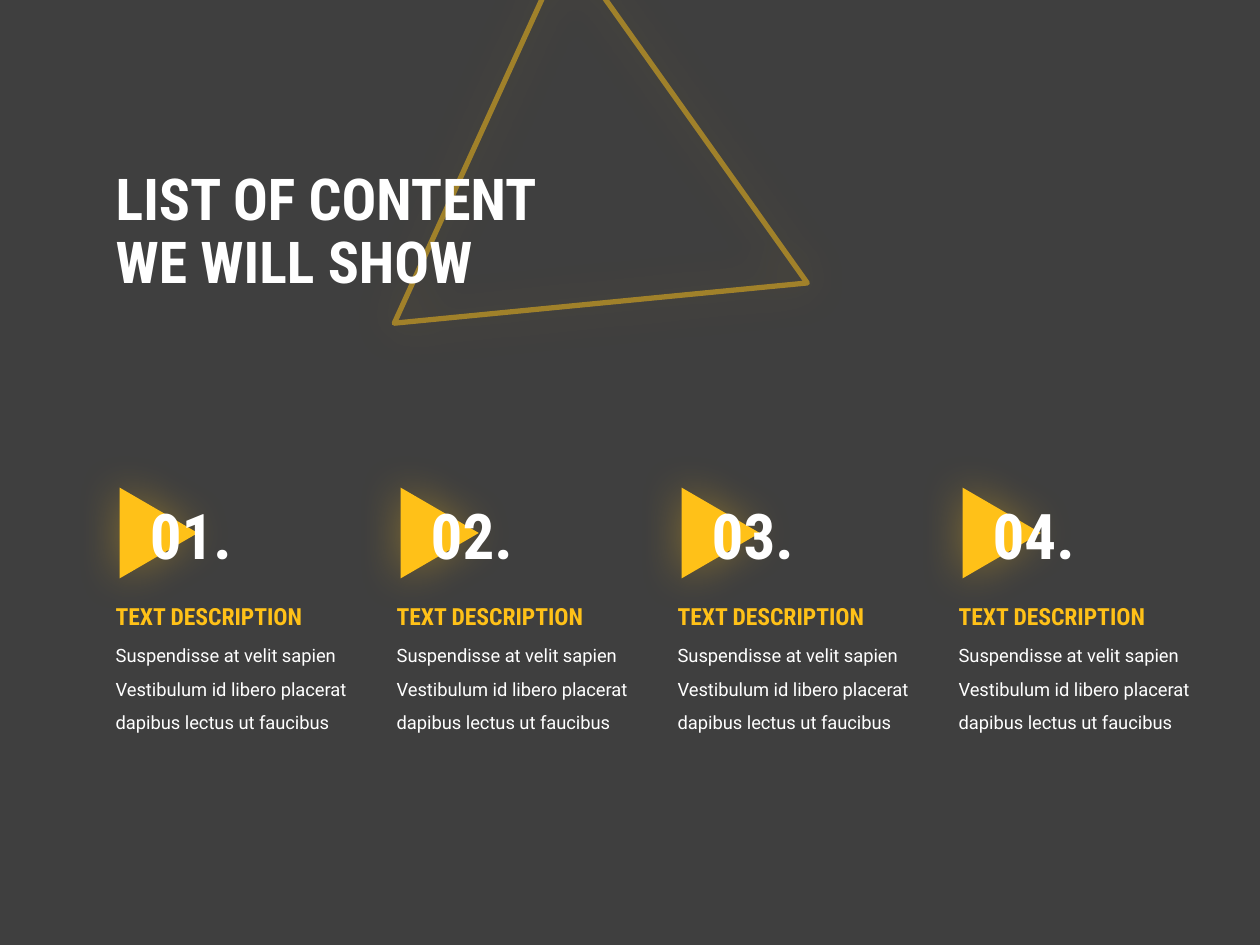
from dataclasses import dataclass

import pptx
import pptx.dml.color
import pptx.enum.shapes
import pptx.enum.text
import pptx.oxml
import pptx.oxml.ns
import pptx.util
from pptx.dml.color import RGBColor
from pptx.util import Inches

CHARCOAL = RGBColor(0x3F, 0x3F, 0x3F)
AMBER = RGBColor(0xFF, 0xC1, 0x18)
WHITE = RGBColor(0xFF, 0xFF, 0xFF)

HEADING_FONT = "Roboto Condensed"
BODY_FONT = "Roboto"
COLUMN_PITCH = 2.23


@dataclass(frozen=True)
class Area:
    left: float
    top: float
    width: float
    height: float

    def shifted(self, distance: float) -> "Area":
        return Area(self.left + distance, self.top, self.width, self.height)

    def lengths(self) -> tuple:
        return tuple(Inches(value) for value in
                     (self.left, self.top, self.width, self.height))


@dataclass(frozen=True)
class TextStyle:
    font: str
    size: float
    color: RGBColor
    bold: bool = True
    spacing: float = 1.0


@dataclass(frozen=True)
class Topic:
    number: str
    heading: str
    description: str


TITLE_STYLE = TextStyle(HEADING_FONT, 33, WHITE, spacing=0.9)
NUMBER_STYLE = TextStyle(HEADING_FONT, 36, WHITE)
HEADING_STYLE = TextStyle(HEADING_FONT, 13.5, AMBER)
DESCRIPTION_STYLE = TextStyle(BODY_FONT, 10.5, WHITE, bold=False, spacing=1.5)

# Areas of the first column; the others are shifted by the pitch
MARKER = Area(0.9, 3.92, 0.72, 0.62)
NUMBER = Area(1.09, 3.89, 0.99, 0.71)
HEADING = Area(0.82, 4.73, 1.84, 0.33)
DESCRIPTION = Area(0.82, 4.98, 2.11, 0.87)

TOPICS = [
    Topic(f"{index:02d}.", "TEXT DESCRIPTION",
          "Suspendisse at velit sapien Vestibulum id libero placerat "
          "dapibus lectus ut faucibus")
    for index in range(1, 5)
]


def add_glow(shape) -> None:
    """Give the shape a soft amber shadow with no offset."""
    shape.shadow.inherit = False
    effects = shape._element.spPr.find(pptx.oxml.ns.qn("a:effectLst"))
    effects.append(pptx.oxml.parse_xml(
        f'<a:outerShdw {pptx.oxml.ns.nsdecls("a")} blurRad="{pptx.util.Pt(25)}" '
        f'dist="0" dir="0" algn="ctr" rotWithShape="0"><a:srgbClr val="{AMBER}">'
        '<a:alpha val="35000"/></a:srgbClr></a:outerShdw>'))


def add_triangle(slide, area: Area, rotation: float):
    triangle = slide.shapes.add_shape(
        pptx.enum.shapes.MSO_SHAPE.ISOSCELES_TRIANGLE, *area.lengths())
    triangle.rotation = rotation
    add_glow(triangle)
    return triangle


def add_outline_triangle(slide, area: Area, rotation: float) -> None:
    triangle = add_triangle(slide, area, rotation)
    triangle.fill.background()
    triangle.line.color.rgb = AMBER
    triangle.line.width = pptx.util.Pt(3)
    color = triangle.line._ln.find(".//" + pptx.oxml.ns.qn("a:srgbClr"))
    color.append(pptx.oxml.parse_xml(
        f'<a:alpha {pptx.oxml.ns.nsdecls("a")} val="50000"/>'))


def add_marker(slide, area: Area) -> None:
    triangle = add_triangle(slide, area, 90)
    triangle.fill.solid()
    triangle.fill.fore_color.rgb = AMBER
    triangle.line.fill.background()


def add_text(slide, area: Area, lines: list[str], style: TextStyle,
             anchor=pptx.enum.text.MSO_ANCHOR.TOP) -> None:
    box = slide.shapes.add_textbox(*area.lengths())
    frame = box.text_frame
    frame.word_wrap = True
    frame.vertical_anchor = anchor
    para = frame.paragraphs[0]
    para.line_spacing = style.spacing
    for index, line in enumerate(lines):
        if index:
            para.add_line_break()
        span = para.add_run()
        span.text = line
        span.font.name = style.font
        span.font.size = pptx.util.Pt(style.size)
        span.font.bold = style.bold
        span.font.color.rgb = style.color


def add_topic(slide, topic: Topic, shift: float) -> None:
    add_marker(slide, MARKER.shifted(shift))
    add_text(slide, NUMBER.shifted(shift), [topic.number], NUMBER_STYLE)
    add_text(slide, DESCRIPTION.shifted(shift), [topic.description],
             DESCRIPTION_STYLE)
    add_text(slide, HEADING.shifted(shift), [topic.heading], HEADING_STYLE)


def main() -> None:
    deck = pptx.Presentation()
    deck.slide_width = Inches(10)
    deck.slide_height = Inches(7.5)
    slide = deck.slides.add_slide(deck.slide_layouts[6])
    slide.background.fill.solid()
    slide.background.fill.fore_color.rgb = CHARCOAL

    # Title over the large outline
    add_outline_triangle(slide, Area(3.46, 0.23, 3.3, 2.85), 114.5)
    add_text(slide, Area(0.82, 1.06, 4.22, 1.58),
             ["LIST OF CONTENT", "WE WILL SHOW"], TITLE_STYLE,
             pptx.enum.text.MSO_ANCHOR.MIDDLE)

    # Four numbered topics
    for index, topic in enumerate(TOPICS):
        add_topic(slide, topic, index * COLUMN_PITCH)

    deck.save("out.pptx")


if __name__ == "__main__":
    main()
